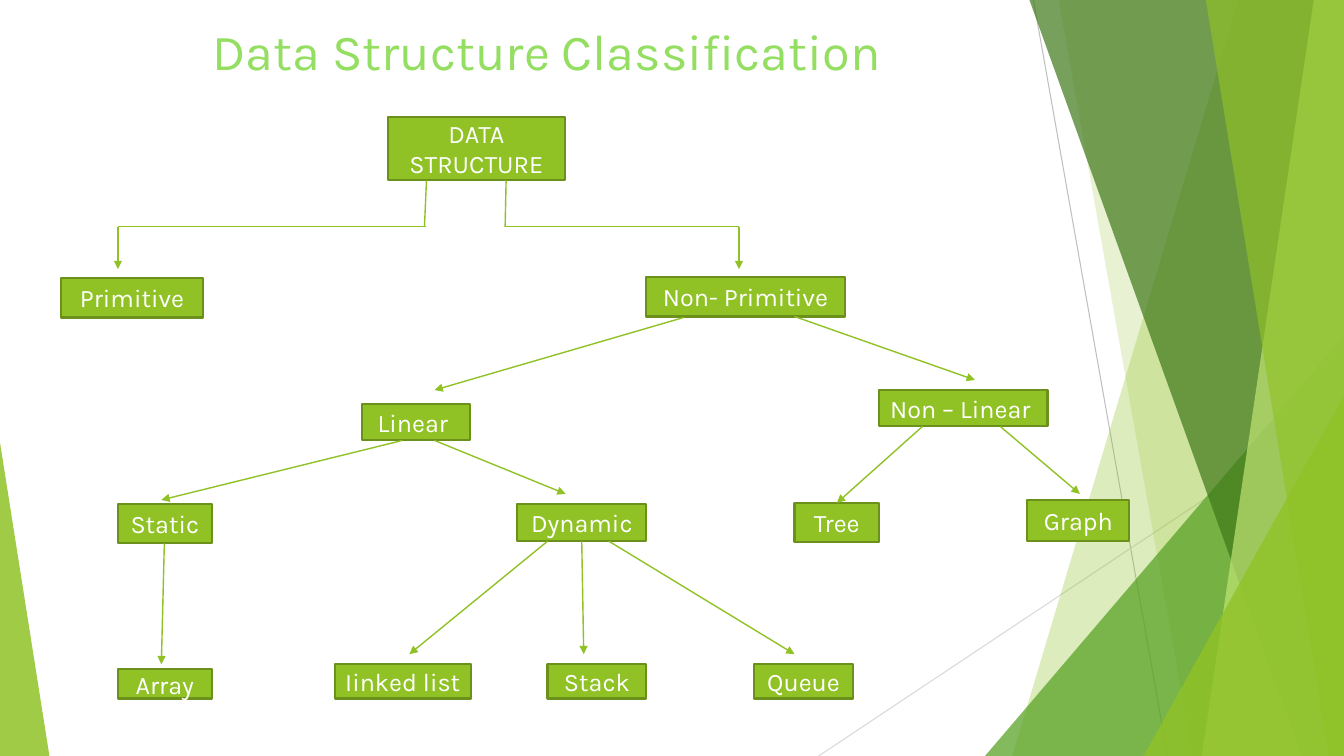
"""Build the data structure classification slide."""
import pptx
import pptx.util
import pptx.dml.color
import pptx.enum.shapes
import pptx.enum.text
import pptx.oxml
import pptx.oxml.ns

Inches = pptx.util.Inches
RGBColor = pptx.dml.color.RGBColor
Shape = pptx.enum.shapes.MSO_SHAPE
Align = pptx.enum.text.PP_ALIGN
Anchor = pptx.enum.text.MSO_ANCHOR
NAMESPACE = pptx.oxml.ns.nsdecls("a")

GREEN = RGBColor(0x90, 0xC2, 0x26)
BORDER = RGBColor(0x6B, 0x90, 0x1C)
MIDDLE = RGBColor(0x54, 0xA0, 0x21)
DARK = RGBColor(0x3F, 0x78, 0x19)
PALE = RGBColor(0xC0, 0xE4, 0x74)
TITLE = RGBColor(0x94, 0xDE, 0x61)
WHITE = RGBColor(0xFF, 0xFF, 0xFF)
GRAY = RGBColor(0xBF, 0xBF, 0xBF)
LIGHT_GRAY = RGBColor(0xD9, 0xD9, 0xD9)
WIDTH, HEIGHT = 13.33, 7.5


def write_text(shape, text, size=18, color=WHITE, align=Align.CENTER, anchor=Anchor.MIDDLE):
    frame = shape.text_frame
    frame.word_wrap = True
    frame.auto_size = pptx.enum.text.MSO_AUTO_SIZE.NONE
    frame.vertical_anchor = anchor
    paragraph = frame.paragraphs[0]
    paragraph.alignment = align
    span = paragraph.add_run()
    span.text = text
    span.font.name = "Karla"
    span.font.size = pptx.util.Pt(size)
    span.font.color.rgb = color


def draw_line(start, end, color=GREEN, width=1, arrow=False):
    ends = [Inches(value) for value in (*start, *end)]
    line = page.shapes.add_connector(pptx.enum.shapes.MSO_CONNECTOR.STRAIGHT, *ends)
    line.line.color.rgb = color
    line.line.width = pptx.util.Pt(width)
    if arrow:
        head = pptx.oxml.parse_xml(f'<a:tailEnd {NAMESPACE} type="triangle"/>')
        line.line._get_or_add_ln().append(head)
    line._element.spPr.append(pptx.oxml.parse_xml(f"<a:effectLst {NAMESPACE}/>"))


deck = pptx.Presentation()
deck.slide_width = Inches(WIDTH)
deck.slide_height = Inches(HEIGHT)
page = deck.slides.add_slide(deck.slide_layouts[5])

draw_line((10.25, 0), (11.58, HEIGHT), GRAY, 0.75)
draw_line((WIDTH, 4.03), (8.12, HEIGHT), LIGHT_GRAY, 0.75)

facets = [
    ("band", 12.28, 10.04, GREEN, 30),
    ("band", 10.5, 11.83, GREEN, 20),
    ("triangle", (9.77, 3.33, 3.56), 1, MIDDLE, 72),
    ("band", 10.21, 12.91, DARK, 70),
    ("band", 13.03, 11.92, PALE, 70),
    ("band", 11.96, 13.18, GREEN, 65),
    ("triangle", (11.34, 3.93, 1.99), 1, GREEN, 80),
    ("triangle", (0, 4.39, 0.49), 0, GREEN, 85),
]
for kind, first, second, color, opacity in facets:
    if kind == "band":
        corners = [(WIDTH, 0), (WIDTH, HEIGHT), (second, HEIGHT)]
        outline = page.shapes.build_freeform(Inches(first), 0)
        outline.add_line_segments([(Inches(x), Inches(y)) for x, y in corners])
        facet = outline.convert_to_shape()
    else:
        left, top, width = first
        facet = page.shapes.add_shape(
            Shape.ISOSCELES_TRIANGLE, Inches(left), Inches(top), Inches(width), Inches(HEIGHT - top))
        facet.adjustments[0] = second
    facet.shadow.inherit = False
    facet.line.fill.background()
    facet.fill.solid()
    facet.fill.fore_color.rgb = color
    alpha = pptx.oxml.parse_xml(f'<a:alpha {NAMESPACE} val="{opacity * 1000}"/>')
    facet._element.spPr.find(".//" + pptx.oxml.ns.qn("a:srgbClr")).append(alpha)

title = page.shapes.title
title.left, title.top = Inches(2.01), Inches(0.15)
title.width, title.height = Inches(7.25), Inches(1.01)
write_text(title, "Data Structure Classification", size=36, color=TITLE,
           align=Align.LEFT, anchor=Anchor.TOP)

nodes = [
    ("DATA STRUCTURE", 3.85, 1.16, 1.75, 0.63),
    ("Primitive", 0.61, 2.76, 1.4, 0.39),
    ("Non- Primitive", 6.41, 2.75, 1.97, 0.39),
    ("Linear ", 3.59, 4.01, 1.07, 0.36),
    ("Non – Linear ", 8.72, 3.87, 1.67, 0.36),
    ("Static", 1.17, 5, 0.93, 0.39),
    ("Dynamic", 5.13, 5, 1.28, 0.37),
    ("Tree", 7.88, 4.99, 0.84, 0.39),
    ("Graph", 10.19, 4.96, 1.01, 0.41),
    ("Array", 1.17, 6.64, 0.93, 0.29),
    ("Iinked list", 3.32, 6.59, 1.35, 0.34),
    ("Stack", 5.43, 6.59, 0.98, 0.34),
    ("Queue", 7.48, 6.59, 0.98, 0.34),
]
for text, *place in nodes:
    box = page.shapes.add_shape(Shape.RECTANGLE, *[Inches(value) for value in place])
    box.shadow.inherit = False
    box.fill.solid()
    box.fill.fore_color.rgb = GREEN
    box.line.color.rgb = BORDER
    box.line.width = pptx.util.Pt(1.5)
    write_text(box, text)

for stem_top, stem_bottom, bar_start, bar_end, drop in [
    (4.23, 4.21, 4.23, 1.17, 1.17),
    (5.02, 5.01, 5.02, 7.33, 7.33),
]:
    draw_line((stem_top, 1.79), (stem_bottom, 2.25))
    draw_line((bar_start, 2.25), (bar_end, 2.25))
    draw_line((drop, 2.25), (drop, 2.67), arrow=True)

branches = [
    ((6.78, 3.15), (4.31, 3.87)),
    ((7.88, 3.14), (9.67, 3.77)),
    ((3.99, 4.37), (1.6, 4.96)),
    ((4.31, 4.37), (5.61, 4.9)),
    ((9.15, 4.23), (8.3, 4.99)),
    ((9.92, 4.23), (10.71, 4.9)),
    ((1.63, 5.39), (1.6, 6.59)),
    ((5.43, 5.37), (4.06, 6.49)),
    ((5.77, 5.37), (5.79, 6.49)),
    ((6.04, 5.37), (7.88, 6.49)),
]
for start, end in branches:
    draw_line(start, end, arrow=True)

deck.save("out.pptx")
